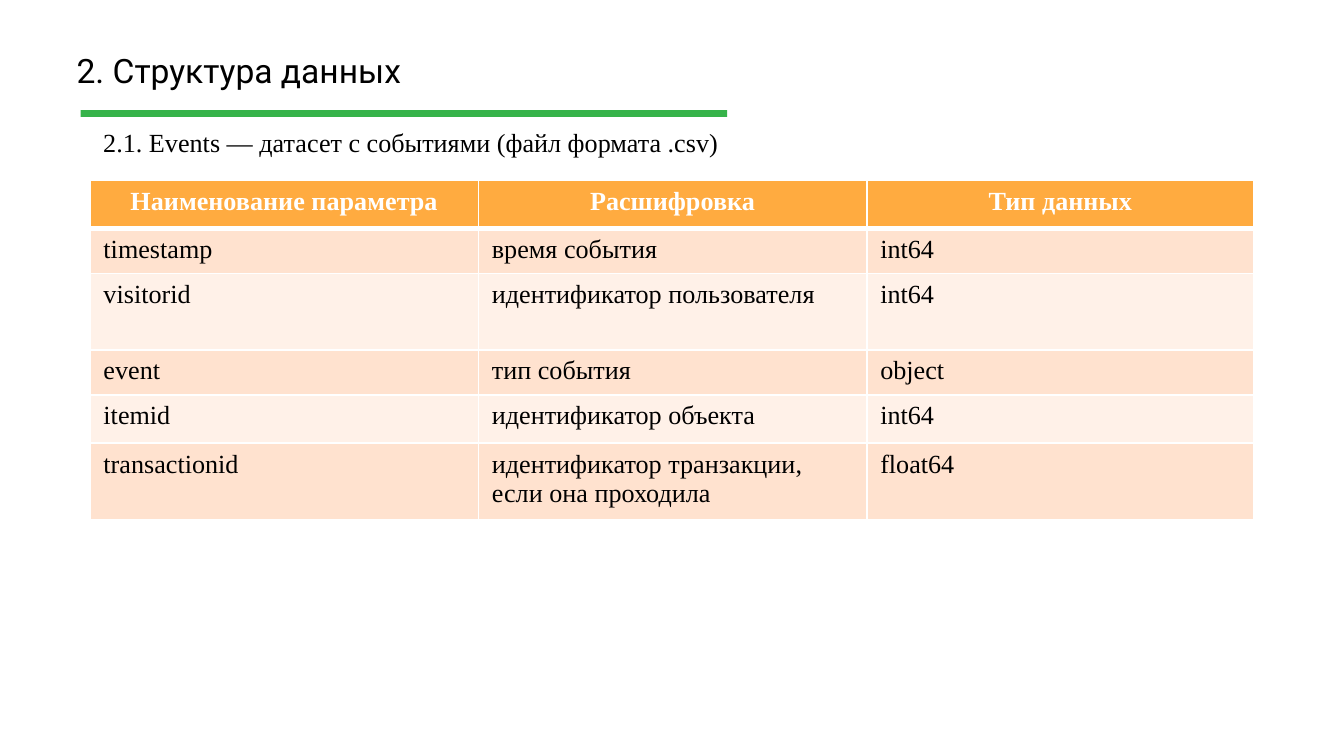
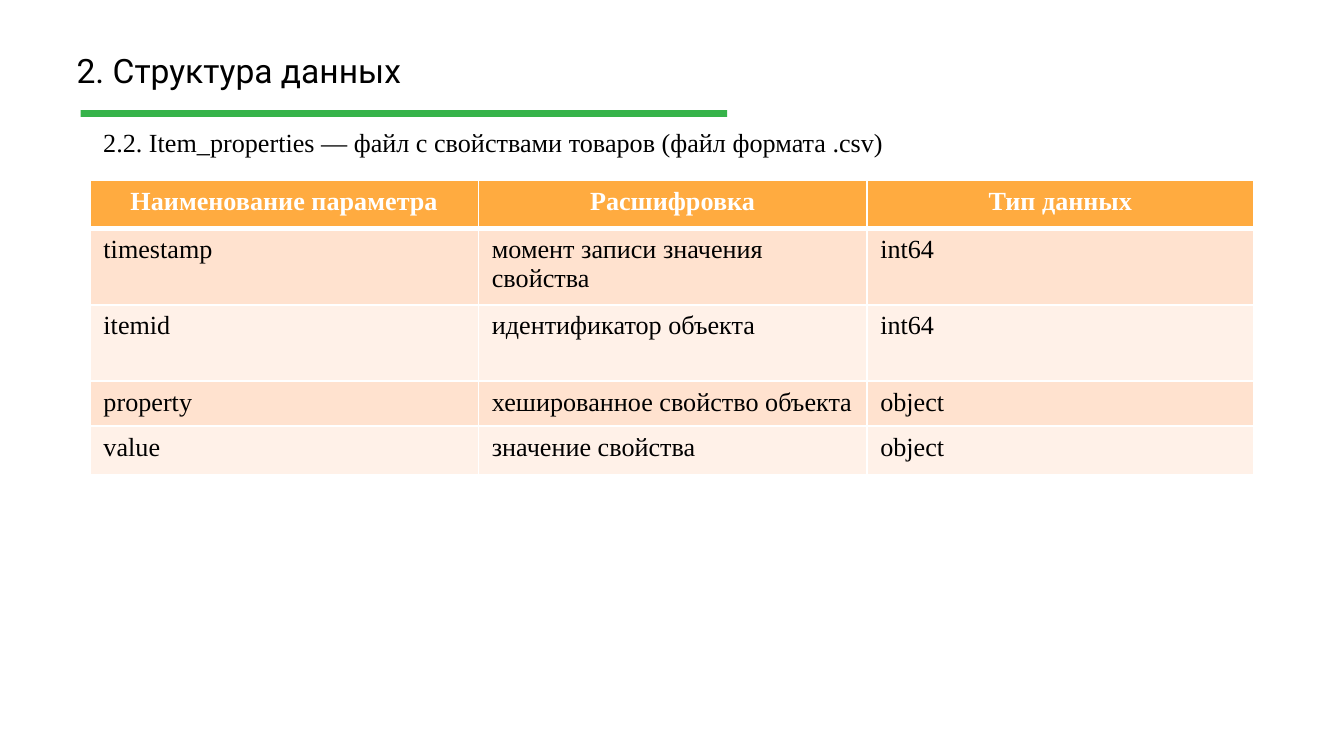
from dataclasses import dataclass

from lxml import etree
from pptx import Presentation
from pptx import util as u
from pptx.dml.color import RGBColor
from pptx.enum import shapes, text
from pptx.oxml.ns import qn


@dataclass(frozen=True)
class Theme:
    black: str = "000000"
    white: str = "FFFFFF"
    green: str = "36B34A"
    header: str = "FFAB40"
    bands: tuple = ("FFE2CF", "FFF1E8")
    title_font: str = "Roboto"
    body_font: str = "Times New Roman"
    title_size: int = 18
    body_size: int = 14
    thin: int = 1
    thick: int = 3


THEME = Theme()
TITLE = "2. Структура данных"
HEADINGS = ("Наименование параметра", "Расшифровка", "Тип данных")
HEADER_HEIGHT = 0.36

# Boxes are left, top, width, height in inches
TITLE_BOX = (0.25, 0.39, 5.15, 0.3)
RULE_BOX = (0.6, 0.82, 4.81, 0.05)
CONTENT_BOX = (0.67, 0.89, 8.66, 4.4)
COLUMNS = (2.89, 2.89, 2.88)

# Each dataset: subtitle, rows of (height, cell texts)
DATASETS = [
    (
        "2.1. Events — датасет с событиями (файл формата .csv)",
        [
            (0.33, ("timestamp", "время события", "int64")),
            (0.57, ("visitorid", "идентификатор пользователя", "int64")),
            (0.33, ("event", "тип события", "object")),
            (0.36, ("itemid", "идентификатор объекта", "int64")),
            (0.56, ("transactionid", "идентификатор транзакции, если она проходила", "float64")),
        ],
    ),
    (
        "2.2. Item_properties — файл с свойствами товаров (файл формата .csv)",
        [
            (0.56, ("timestamp", "момент записи значения свойства", "int64")),
            (0.57, ("itemid", "идентификатор объекта", "int64")),
            (0.33, ("property", "хешированное свойство объекта", "object")),
            (0.36, ("value", "значение свойства", "object")),
        ],
    ),
]


def inches(box):
    return [u.Inches(value) for value in box]


def write(frame, words, *, font=THEME.body_font, size=THEME.body_size,
          color=THEME.black, bold=False, align=text.PP_ALIGN.LEFT):
    """Put one formatted paragraph into a text frame and return it."""
    frame.word_wrap = True
    para = frame.paragraphs[0]
    para.alignment = align
    span = para.add_run()
    span.text = words
    span.font.name = font
    span.font.size = u.Pt(size)
    span.font.bold = bold
    span.font.color.rgb = RGBColor.from_string(color)
    return para


def add_title(page, box):
    frame = page.shapes.add_textbox(*inches(box)).text_frame
    frame.vertical_anchor = text.MSO_ANCHOR.MIDDLE
    frame.margin_left = frame.margin_right = u.Inches(0.07)
    frame.margin_top = frame.margin_bottom = u.Inches(0.04)
    para = write(frame, TITLE, font=THEME.title_font, size=THEME.title_size)
    para.line_spacing = 0.9
    para.space_before = u.Pt(8)
    # Hanging indent
    properties = para._p.get_or_add_pPr()
    properties.set("marL", str(u.Inches(0.5)))
    properties.set("indent", str(u.Inches(-0.25)))


def add_rule(page, box):
    rule = page.shapes.add_shape(shapes.MSO_SHAPE.RECTANGLE, *inches(box))
    rule.shadow.inherit = False
    rule.fill.solid()
    rule.fill.fore_color.rgb = RGBColor.from_string(THEME.green)
    rule.line.fill.background()


def set_borders(cell, **widths):
    properties = cell._tc.get_or_add_tcPr()
    for side in "LRTB":
        width = widths.get(side, THEME.thin)
        line = etree.SubElement(properties, qn(f"a:ln{side}"), w=str(u.Pt(width)))
        fill = etree.SubElement(line, qn("a:solidFill"))
        etree.SubElement(fill, qn("a:srgbClr"), val=THEME.white)


def fill_row(table, index, words, fill, borders, **style):
    for cell, word in zip(table.rows[index].cells, words):
        set_borders(cell, **borders)
        cell.fill.solid()
        cell.fill.fore_color.rgb = RGBColor.from_string(fill)
        write(cell.text_frame, word, **style)


def add_fields_table(page, box, rows):
    heights = [HEADER_HEIGHT] + [height for height, _ in rows]
    left, top, width = box[:3]
    frame = page.shapes.add_table(len(heights), len(COLUMNS),
                                  *inches((left, top, width, sum(heights))))
    table = frame.table
    table.first_row = True
    table.horz_banding = False
    for column, size in zip(table.columns, COLUMNS):
        column.width = u.Inches(size)
    for row, size in zip(table.rows, heights):
        row.height = u.Inches(size)

    # Heading row, set off by a thick line
    fill_row(table, 0, HEADINGS, THEME.header, {"B": THEME.thick},
             color=THEME.white, bold=True, align=text.PP_ALIGN.CENTER)
    # Banded body rows
    for index, (_, words) in enumerate(rows):
        borders = {"T": THEME.thick} if index == 0 else {}
        fill_row(table, index + 1, words, THEME.bands[index % 2], borders)


def add_dataset(page, box, subtitle, rows):
    left, top, width, height = box
    caption = page.shapes.add_textbox(*inches((left, top, width, 0.34)))
    write(caption.text_frame, subtitle)
    table_box = (left, top + 0.45, width, height - 0.45)
    add_fields_table(page, table_box, rows)


def build_page(deck, dataset):
    page = deck.slides.add_slide(deck.slide_layouts[6])
    page.background.fill.solid()
    page.background.fill.fore_color.rgb = RGBColor.from_string(THEME.white)
    add_rule(page, RULE_BOX)
    add_title(page, TITLE_BOX)
    add_dataset(page, CONTENT_BOX, *dataset)


def main():
    deck = Presentation()
    # Widescreen, 16:9
    deck.slide_width = u.Inches(10)
    deck.slide_height = u.Inches(10) * 9 // 16
    for dataset in DATASETS:
        build_page(deck, dataset)
    deck.save("out.pptx")


if __name__ == "__main__":
    main()
